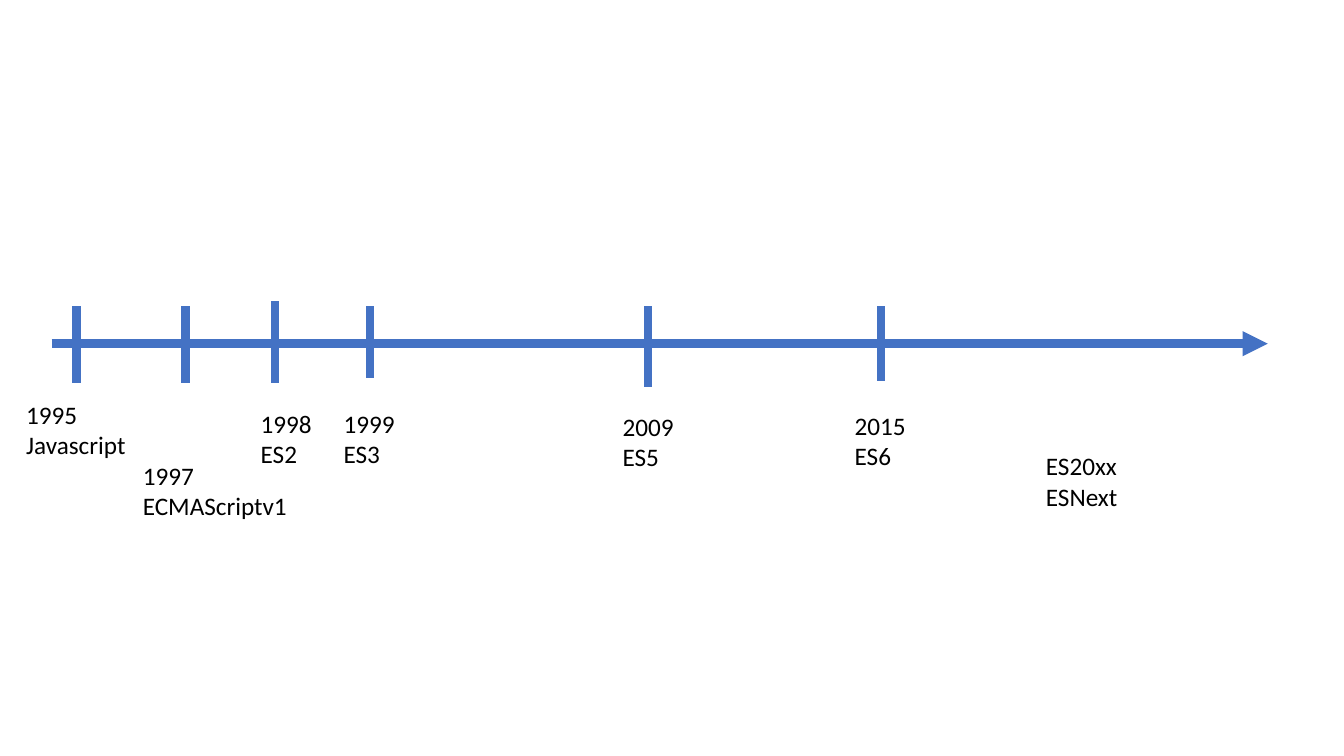
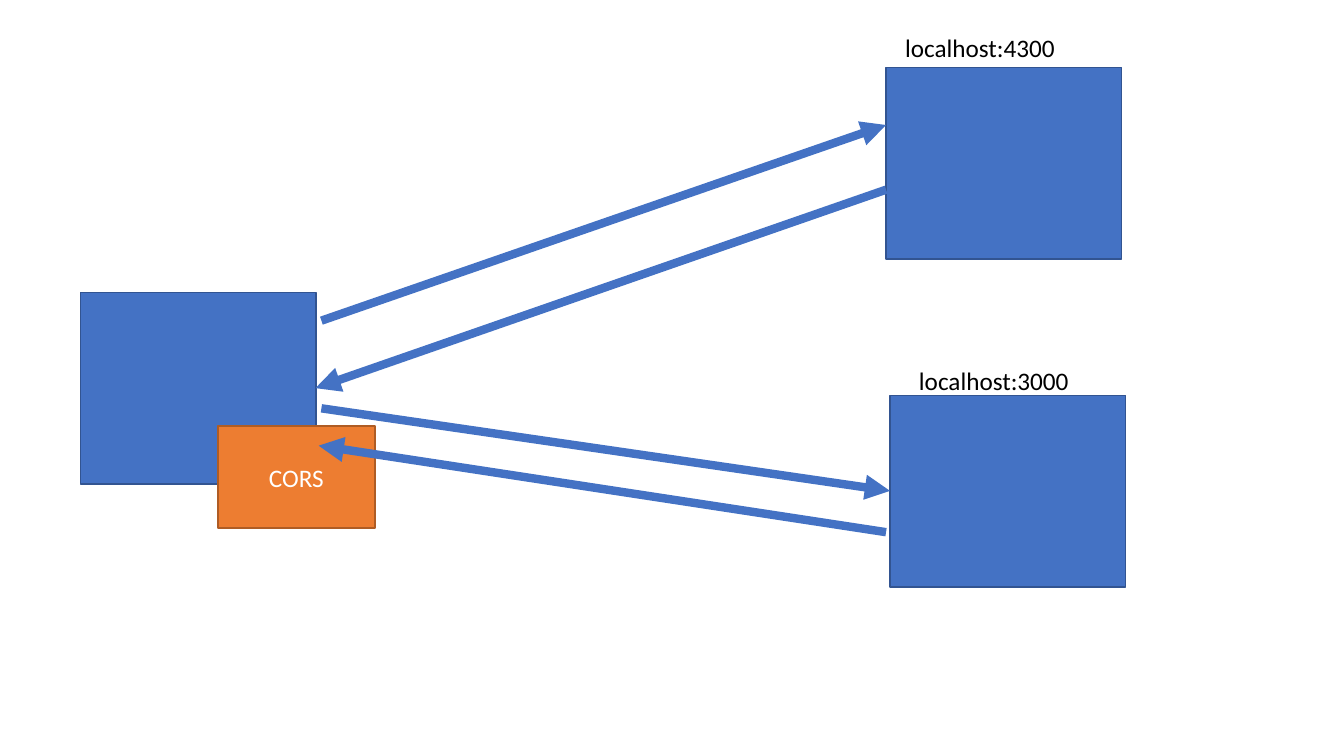
"""Build a JavaScript version timeline and a cross-origin request diagram."""
from lxml import etree
from pptx import Presentation
from pptx import util as u
from pptx.dml.color import RGBColor
from pptx.enum import shapes, text
from pptx.oxml.ns import qn

BLUE, BLUE_EDGE = "4472C4", "325491"
ORANGE, ORANGE_EDGE = "ED7D31", "AF5C24"
BLACK, WHITE = "000000", "FFFFFF"


def color(hex_code):
    return RGBColor.from_string(hex_code)


class Deck:
    font = "Calibri"
    text_size = u.Pt(18)
    stroke = u.Pt(6)
    edge = u.Pt(1)
    row_height = 0.78
    padding = 0.25

    def __init__(self, width, height):
        self.show = Presentation()
        self.show.slide_width = u.Cm(width)
        self.show.slide_height = u.Cm(height)
        self.slide = None

    def new_slide(self):
        self.slide = self.show.slides.add_slide(self.show.slide_layouts[6])

    def add_words(self, paragraph, wording, ink):
        run = paragraph.add_run()
        run.text = wording
        run.font.name = self.font
        run.font.size = self.text_size
        run.font.color.rgb = color(ink)

    def line(self, start, end, arrow=False):
        stroke = self.slide.shapes.add_connector(
            shapes.MSO_CONNECTOR.STRAIGHT, *map(u.Cm, (*start, *end)))
        stroke.line.color.rgb = color(BLUE)
        stroke.line.width = self.stroke
        properties = stroke.element.spPr
        if arrow:
            outline = properties.find(qn("a:ln"))
            etree.SubElement(outline, qn("a:tailEnd"), type="triangle")
        etree.SubElement(properties, qn("a:effectLst"))

    def label(self, left, top, width, *rows):
        height = len(rows) * self.row_height + self.padding
        frame = self.slide.shapes.add_textbox(
            *map(u.Cm, (left, top, width, height))).text_frame
        frame.word_wrap = False
        frame.auto_size = text.MSO_AUTO_SIZE.SHAPE_TO_FIT_TEXT
        for index, row in enumerate(rows):
            paragraph = frame.add_paragraph() if index else frame.paragraphs[0]
            self.add_words(paragraph, row, BLACK)

    def box(self, left, top, width, height, fill=BLUE, edge=BLUE_EDGE, wording=None):
        block = self.slide.shapes.add_shape(
            shapes.MSO_SHAPE.RECTANGLE, *map(u.Cm, (left, top, width, height)))
        block.shadow.inherit = False
        block.fill.solid()
        block.fill.fore_color.rgb = color(fill)
        block.line.color.rgb = color(edge)
        block.line.width = self.edge
        if wording:
            block.text_frame.vertical_anchor = text.MSO_ANCHOR.MIDDLE
            paragraph = block.text_frame.paragraphs[0]
            paragraph.alignment = text.PP_ALIGN.CENTER
            self.add_words(paragraph, wording, WHITE)


def timeline(deck):
    deck.new_slide()
    axis_y = 8.66
    deck.line((1.3, axis_y), (31.95, axis_y), arrow=True)
    milestones = [
        (1.93, 7.72, 9.65, 0.41, 9.93, 3.05, "1995", "Javascript"),
        (4.67, 7.72, 9.65, 3.35, 11.48, 4.17, "1997", "ECMAScriptv1"),
        (6.93, 7.59, 9.65, 6.32, 10.16, 1.8, "1998", "ES2"),
        (9.32, 7.72, 9.53, 8.41, 10.16, 1.8, "1999", "ES3"),
        (16.33, 7.72, 9.75, 15.44, 10.24, 1.8, "2009", "ES5"),
        (22.2, 7.72, 9.6, 21.29, 10.21, 1.8, "2015", "ES6"),
    ]
    for tick_x, tick_top, tick_bottom, *caption in milestones:
        deck.line((tick_x, tick_top), (tick_x, tick_bottom))
        deck.label(*caption)
    deck.label(26.11, 11.23, 2.31, "ES20xx", "ESNext")


def cross_origin(deck):
    deck.new_slide()
    browser, first_server, second_server = (2.03, 7.37), (22.33, 1.7), (22.43, 9.96)
    for corner in (browser, first_server, second_server):
        deck.box(*corner, 5.94, 4.83)
    deck.label(22.56, 0.69, 4.32, "localhost:4300")
    deck.label(22.91, 9.07, 4.32, "localhost:3000")
    deck.box(5.49, 10.74, 3.96, 2.57, ORANGE, ORANGE_EDGE, "CORS")
    messages = [
        ((8.1, 8.08), (22.33, 3.15)),
        ((22.33, 4.78), (7.95, 9.78)),
        ((8.1, 10.29), (22.43, 12.37)),
        ((22.33, 13.41), (8.03, 11.23)),
    ]
    for sender, receiver in messages:
        deck.line(sender, receiver, arrow=True)


deck = Deck(33.87, 19.05)
timeline(deck)
cross_origin(deck)
deck.show.save("out.pptx")
